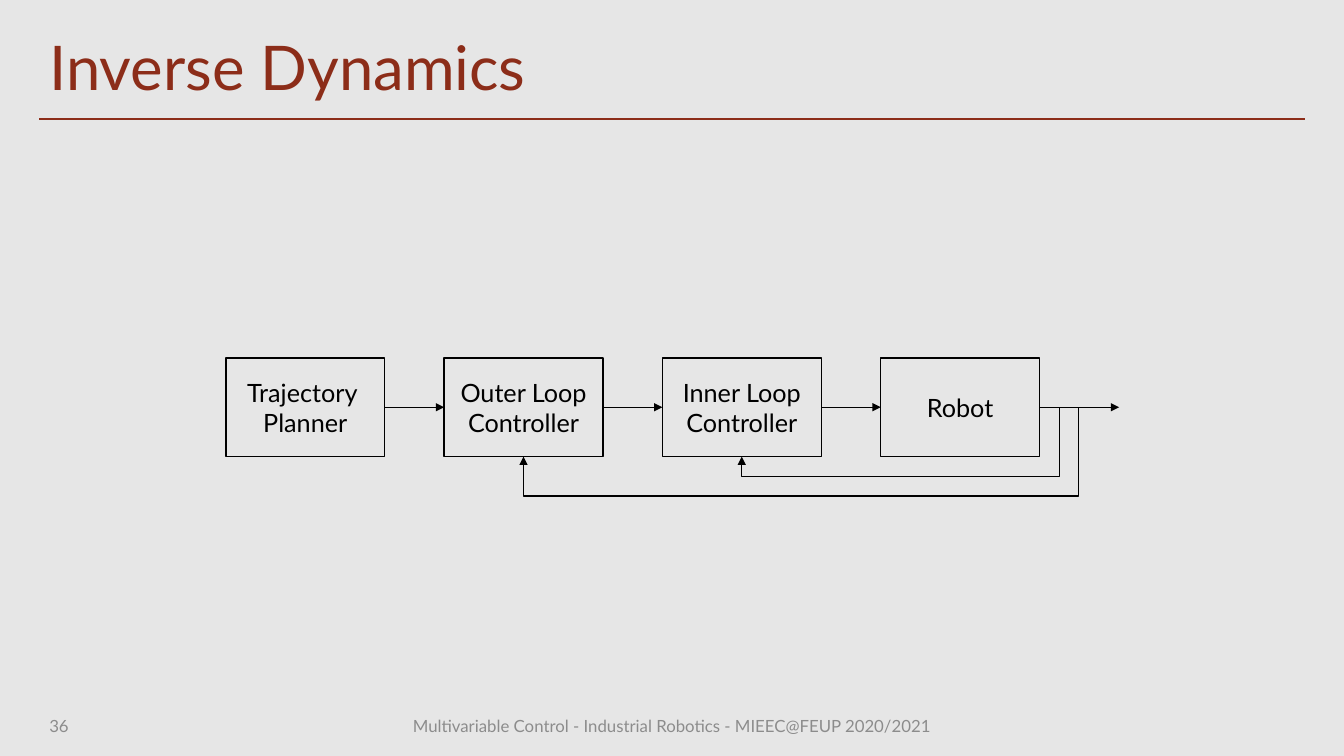
from lxml.etree import SubElement
from pptx import Presentation
from pptx.dml.color import RGBColor
from pptx.enum.shapes import MSO_CONNECTOR as CONNECTOR, MSO_SHAPE as SHAPE
from pptx.enum.text import MSO_ANCHOR as ANCHOR, PP_ALIGN as ALIGN
from pptx.oxml.ns import qn
from pptx.util import Inches, Pt

COLORS = {"background": "E6E6E6", "accent": "8C2D19", "footer": "8C8C8C", "ink": "000000"}
FONT = "Lato"
TOP, LEFT, BOTTOM, RIGHT = range(4)
BLOCKS = [
    ["Trajectory ", "Planner"],
    ["Outer Loop", "Controller"],
    ["Inner Loop", "Controller"],
    ["Robot"],
]


def color(name):
    return RGBColor.from_string(COLORS[name])


def write(shape, lines, size, color_name, align=ALIGN.LEFT, anchor=ANCHOR.MIDDLE):
    frame = shape.text_frame
    frame.word_wrap = True
    frame.vertical_anchor = anchor
    for index, line in enumerate(lines):
        paragraph = frame.add_paragraph() if index else frame.paragraphs[0]
        paragraph.alignment = align
        run = paragraph.add_run()
        run.text = line
        run.font.name = FONT
        run.font.size = Pt(size)
        run.font.color.rgb = color(color_name)


def add_line(slide, start, end, color_name, width, kind=CONNECTOR.STRAIGHT, arrow=False):
    points = [Inches(value) for value in (*start, *end)]
    connector = slide.shapes.add_connector(kind, *points)
    connector.line.color.rgb = color(color_name)
    connector.line.width = Pt(width)
    if arrow:
        SubElement(connector.line._get_or_add_ln(), qn("a:tailEnd"), type="triangle")
    SubElement(connector._element.spPr, qn("a:effectLst"))
    return connector


def add_header(slide, left, top, width, height):
    title = slide.shapes.title
    title.left, title.top = Inches(left), Inches(top)
    title.width, title.height = Inches(width), Inches(height)
    write(title, ["Inverse Dynamics"], 44, "accent", anchor=ANCHOR.BOTTOM)
    title.text_frame.paragraphs[0].line_spacing = 0.9
    rule_y = top + height + 0.1
    add_line(slide, (left, rule_y), (left + width, rule_y), "accent", 1.5)


def add_footer(slide, left, top, width, height):
    course = "Multivariable Control - Industrial Robotics - MIEEC@FEUP 2020/2021"
    for offset, box_width, text, align in (
        (0, 0.79, "36", ALIGN.LEFT),
        (1.85, width - 2 * 1.85, course, ALIGN.CENTER),
    ):
        box = slide.shapes.add_textbox(
            Inches(left + offset), Inches(top), Inches(box_width), Inches(height))
        write(box, [text], 12, "footer", align)


def add_feedback(slide, source, target, start, end, lane):
    """Loop from the source's right side to the target's bottom, lane inches clear of both."""
    connector = add_line(slide, start, end, "ink", 1, CONNECTOR.ELBOW, arrow=True)
    connector.begin_connect(source, RIGHT)
    connector.end_connect(target, BOTTOM)
    geometry = connector._element.spPr.find(qn("a:prstGeom"))
    geometry.set("prst", "bentConnector4")
    guides = geometry.find(qn("a:avLst"))
    if guides is None:
        guides = SubElement(geometry, qn("a:avLst"))
    ratios = (-lane / (start[0] - end[0]), 1 + lane / (end[1] - start[1]))
    for number, ratio in enumerate(ratios, 1):
        SubElement(guides, qn("a:gd"), name=f"adj{number}",
                   fmla=f"val {round(ratio * 100000)}")


def add_control_diagram(slide, left, top, width, height, gap=0.59, output_length=0.79):
    block_width = (width - gap * (len(BLOCKS) - 1)) / len(BLOCKS)
    pitch = block_width + gap
    middle, bottom = top + height / 2, top + height

    blocks = []
    for index, lines in enumerate(BLOCKS):
        block = slide.shapes.add_shape(
            SHAPE.RECTANGLE, Inches(left + index * pitch), Inches(top),
            Inches(block_width), Inches(height))
        block.shadow.inherit = False
        block.fill.background()
        block.line.color.rgb = color("ink")
        block.line.width = Pt(1)
        write(block, lines, 18, "ink", ALIGN.CENTER)
        blocks.append(block)

    for index, block in enumerate(blocks):
        start_x = left + index * pitch + block_width
        is_last = index == len(blocks) - 1
        end_x = start_x + (output_length if is_last else gap)
        arrow = add_line(slide, (start_x, middle), (end_x, middle), "ink", 1, arrow=True)
        arrow.begin_connect(block, RIGHT)
        if not is_last:
            arrow.end_connect(blocks[index + 1], LEFT)

    for index, lane in ((2, 0.2), (1, 0.39)):
        target_x = left + index * pitch + block_width / 2
        add_feedback(slide, blocks[-1], blocks[index],
                     (left + width, middle), (target_x, bottom), lane)


def main():
    presentation = Presentation()
    presentation.slide_width = Inches(13.33)
    presentation.slide_height = Inches(7.5)
    slide = presentation.slides.add_slide(presentation.slide_layouts[5])
    slide.background.fill.solid()
    slide.background.fill.fore_color.rgb = color("background")
    add_header(slide, 0.39, 0.1, 12.55, 0.98)
    add_control_diagram(slide, 2.24, 3.55, 8.07, 0.98)
    add_footer(slide, 0.39, 7.01, 12.55, 0.39)
    presentation.save("out.pptx")


if __name__ == "__main__":
    main()
